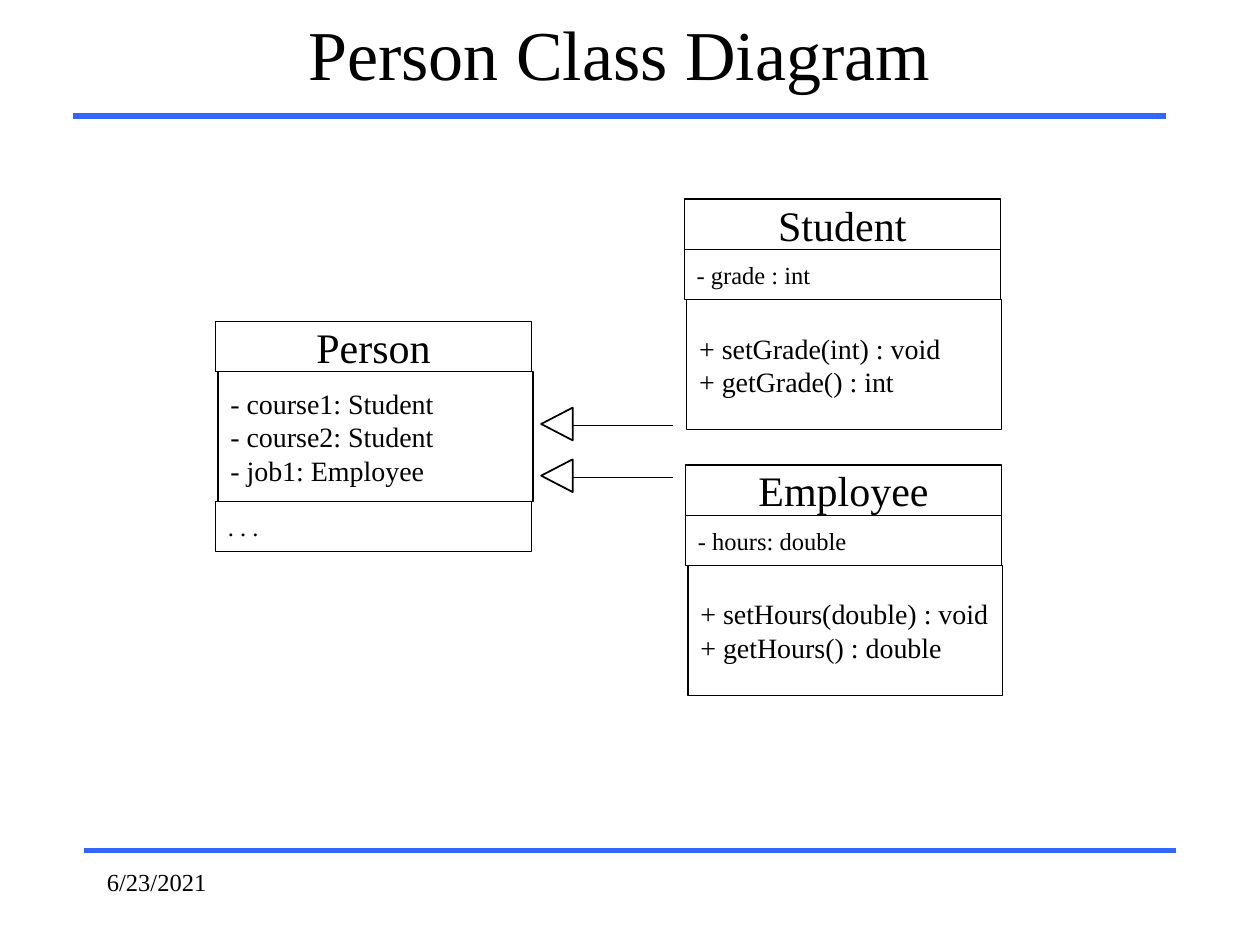
from pptx import Presentation
from pptx import util as u
from pptx.dml.color import RGBColor
from pptx.enum import shapes, text
from pptx.oxml.ns import qn
from lxml import etree

BLACK = RGBColor(0x00, 0x00, 0x00)
WHITE = RGBColor(0xFF, 0xFF, 0xFF)
BLUE = RGBColor(0x33, 0x66, 0xFF)
FONT = "Times New Roman"
LEFT, CENTER = text.PP_ALIGN.LEFT, text.PP_ALIGN.CENTER
TOP, MIDDLE = text.MSO_ANCHOR.TOP, text.MSO_ANCHOR.MIDDLE

# Content
TITLE = "Person Class Diagram"
DATE = "6/23/2021"
# Each class: left, top, compartments as (style, lines)
CLASSES = [
    (5.44, 3.69, [("name", ["Employee"]),
                  ("short", ["- hours: double"]),
                  ("long", ["+ setHours(double) : void", "+ getHours() : double"])]),
    (1.71, 2.55, [("name", ["Person"]),
                  ("long", ["- course1: Student", "- course2: Student", "- job1: Employee"]),
                  ("short", [". . ."])]),
    (5.43, 1.58, [("name", ["Student"]),
                  ("short", ["- grade : int"]),
                  ("long", ["+ setGrade(int) : void", "+ getGrade() : int"])]),
]
# Compartment styles: inset, width, height, text size, alignment
STYLES = {
    "name": (0, 2.51, 0.4, 24, CENTER),
    "short": (0, 2.51, 0.4, 14, LEFT),
    "long": (0.02, 2.5, 1.03, 16, LEFT),
}
RULES = [(0.67, 6.75, 9.33), (0.58, 0.92, 9.25)]
ARROW_ROWS = [3.38, 3.79]
ARROW_START, ARROW_END, HEAD_LEFT = 5.34, 4.43, 4.29
HEAD_WIDTH, HEAD_HEIGHT, HEAD_RISE = 0.26, 0.25, 0.14

presentation = Presentation()
presentation.slide_width, presentation.slide_height = u.Inches(10), u.Inches(7.5)
slide = presentation.slides.add_slide(presentation.slide_layouts[6])


def write(shape, lines, size, align, anchor, wrap):
    frame = shape.text_frame
    for name, value in {"word_wrap": wrap, "vertical_anchor": anchor}.items():
        setattr(frame, name, value)
    for index, line in enumerate(lines):
        paragraph = frame.paragraphs[0] if index == 0 else frame.add_paragraph()
        paragraph.alignment = align
        run = paragraph.add_run()
        run.text = line
        for name, value in {"name": FONT, "size": u.Pt(size)}.items():
            setattr(run.font, name, value)
        run.font.color.rgb = BLACK


def add_text(box, line, size, align, anchor):
    shape = slide.shapes.add_textbox(*map(u.Inches, box))
    write(shape, [line], size, align, anchor, True)


def add_line(start, end, y, color, width):
    line = slide.shapes.add_connector(
        shapes.MSO_CONNECTOR.STRAIGHT, *map(u.Inches, (start, y, end, y)))
    line.line.color.rgb = color
    line.line.width = u.Pt(width)
    etree.SubElement(line._element.spPr, qn("a:effectLst"))


def add_outline(kind, box, width):
    shape = slide.shapes.add_shape(kind, *map(u.Inches, box))
    shape.shadow.inherit = False
    shape.fill.solid()
    shape.fill.fore_color.rgb = WHITE
    shape.line.color.rgb = BLACK
    shape.line.width = u.Pt(width)
    return shape


# Rules, title and date
for start, y, end in RULES:
    add_line(start, end, y, BLUE, 3)
add_text((0.58, 0, 8.67, 0.83), TITLE, 40, CENTER, MIDDLE)
add_text((0.75, 6.83, 2.08, 0.5), DATE, 14, LEFT, TOP)

# Class boxes: compartments stacked downwards, drawn from the bottom up
for left, top, compartments in CLASSES:
    placed = []
    for style, lines in compartments:
        placed.append((top, style, lines))
        top += STYLES[style][2]
    for y, style, lines in reversed(placed):
        inset, width, height, size, align = STYLES[style]
        box = add_outline(shapes.MSO_SHAPE.RECTANGLE, (left + inset, y, width, height), 0.75)
        write(box, lines, size, align, MIDDLE, False)

# Arrows with hollow heads that point left
for y in ARROW_ROWS:
    add_line(ARROW_START, ARROW_END, y, BLACK, 0.5)
    head = add_outline(shapes.MSO_SHAPE.ISOSCELES_TRIANGLE,
                       (HEAD_LEFT, y - HEAD_RISE, HEAD_WIDTH, HEAD_HEIGHT), 1)
    head.rotation = 270

presentation.save("out.pptx")
